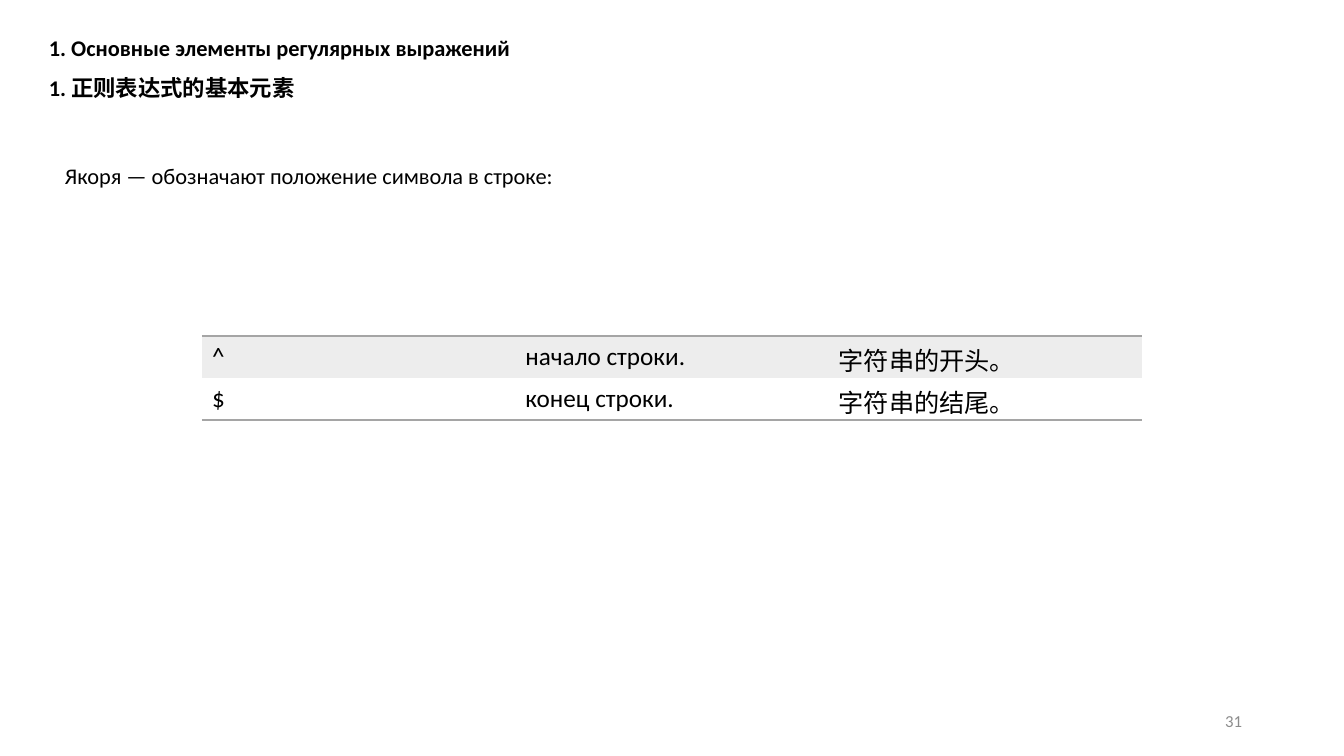
from lxml import etree
from pptx import Presentation
from pptx import util as u
from pptx.dml.color import RGBColor
from pptx.enum import text
from pptx.oxml import ns

COLORS = {"ink": "000000", "rule": "A5A5A5", "band": "EDEDED", "number": "8C8C8C"}
FONT = "Calibri"
EMU_PER_PX = 914400 / 100.8
NO_STYLE = "{2D5ABB26-0587-4C30-8999-92F81FD0307C}"

HEADING = ["1. Основные элементы регулярных выражений", "1. 正则表达式的基本元素"]
INTRO = ["Якоря — обозначают положение символа в строке:"]
ANCHORS = [
    ("^", "начало строки.", "字符串的开头。"),
    ("$", "конец строки.", "字符串的结尾。"),
]
PAGE_NUMBER = ["31"]

SLIDE_SIZE = (1344, 756)
HEADING_BOX = (39, 29, 560, 84)
INTRO_BOX = (55, 157, 560, 64)
TABLE_BOX = (202, 336, 940, 84)
NUMBER_BOX = (950, 701, 302, 40)


def px(value):
    return u.Emu(round(value * EMU_PER_PX))


def style(paragraph, size, color="ink", bold=False):
    font = paragraph.font
    font.name = FONT
    font.size = u.Pt(size)
    font.bold = bold
    font.color.rgb = RGBColor.from_string(COLORS[color])


def add_text(slide, box, lines, size, color="ink", bold=False, after=0):
    frame = slide.shapes.add_textbox(*map(px, box)).text_frame
    frame.word_wrap = True
    frame.text = "\n".join(lines)
    for paragraph in frame.paragraphs:
        paragraph.space_after = u.Pt(after)
        style(paragraph, size, color, bold)
    return frame


def add_rule(cell, side):
    properties = cell._tc.get_or_add_tcPr()
    line = etree.Element(ns.qn(f"a:{side}"), w=str(u.Pt(1)))
    fill = etree.SubElement(line, ns.qn("a:solidFill"))
    etree.SubElement(fill, ns.qn("a:srgbClr"), val=COLORS["rule"])
    properties.insert(0, line)


def add_anchor_table(slide):
    rows, columns = len(ANCHORS), len(ANCHORS[0])
    frame = slide.shapes.add_table(rows, columns, *map(px, TABLE_BOX))
    table = frame.table
    table.first_row = False
    table.horz_banding = False
    table._tbl.tblPr.find(ns.qn("a:tableStyleId")).text = NO_STYLE
    for row, values in enumerate(ANCHORS):
        for column, value in enumerate(values):
            cell = table.cell(row, column)
            cell.text = value
            style(cell.text_frame.paragraphs[0], 18)
            if row % 2 == 0:
                cell.fill.solid()
                cell.fill.fore_color.rgb = RGBColor.from_string(COLORS["band"])
            else:
                cell.fill.background()
            if row == 0:
                add_rule(cell, "lnT")
            if row == rows - 1:
                add_rule(cell, "lnB")


def main():
    presentation = Presentation()
    presentation.slide_width, presentation.slide_height = map(px, SLIDE_SIZE)
    slide = presentation.slides.add_slide(presentation.slide_layouts[6])
    heading = add_text(slide, HEADING_BOX, HEADING, 16, bold=True, after=9.6)
    heading.auto_size = text.MSO_AUTO_SIZE.SHAPE_TO_FIT_TEXT
    add_text(slide, INTRO_BOX, INTRO, 16)
    add_anchor_table(slide)
    number = add_text(slide, NUMBER_BOX, PAGE_NUMBER, 12, "number")
    number.vertical_anchor = text.MSO_ANCHOR.MIDDLE
    number.paragraphs[0].alignment = text.PP_ALIGN.RIGHT
    presentation.save("out.pptx")


if __name__ == "__main__":
    main()
